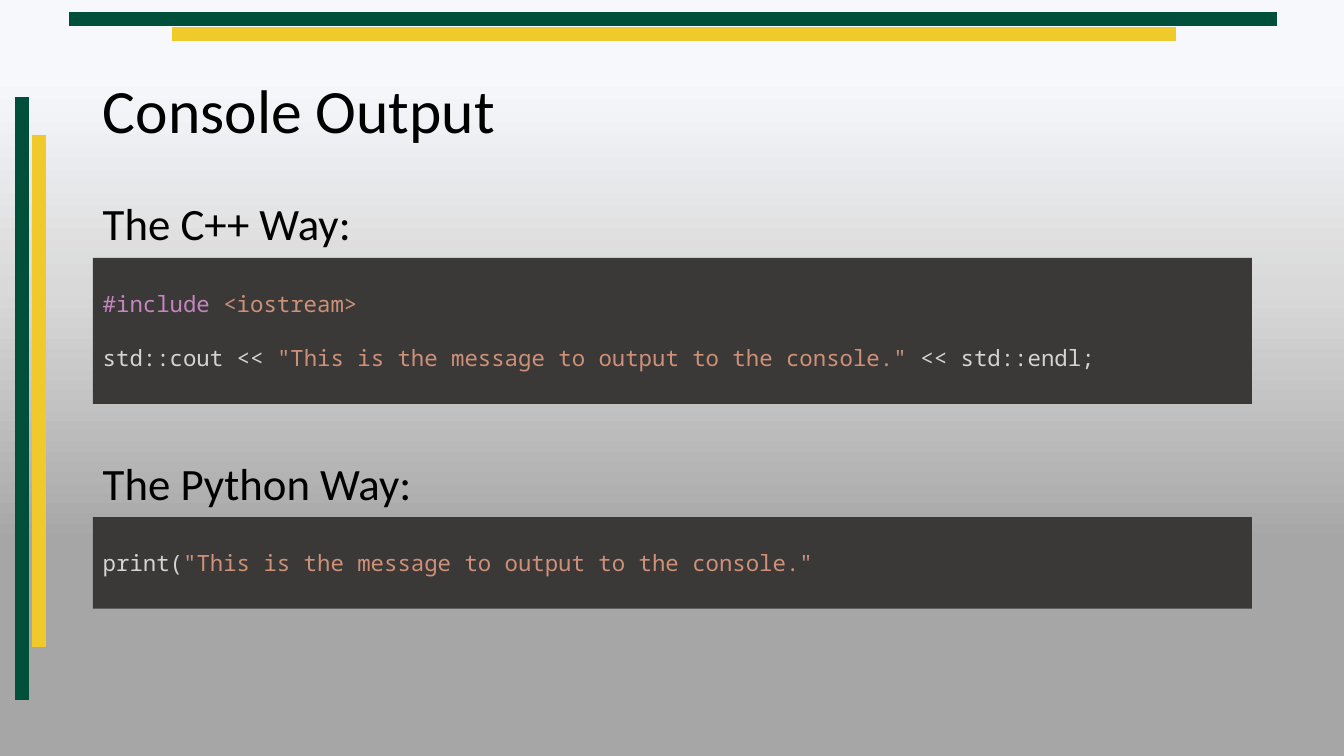
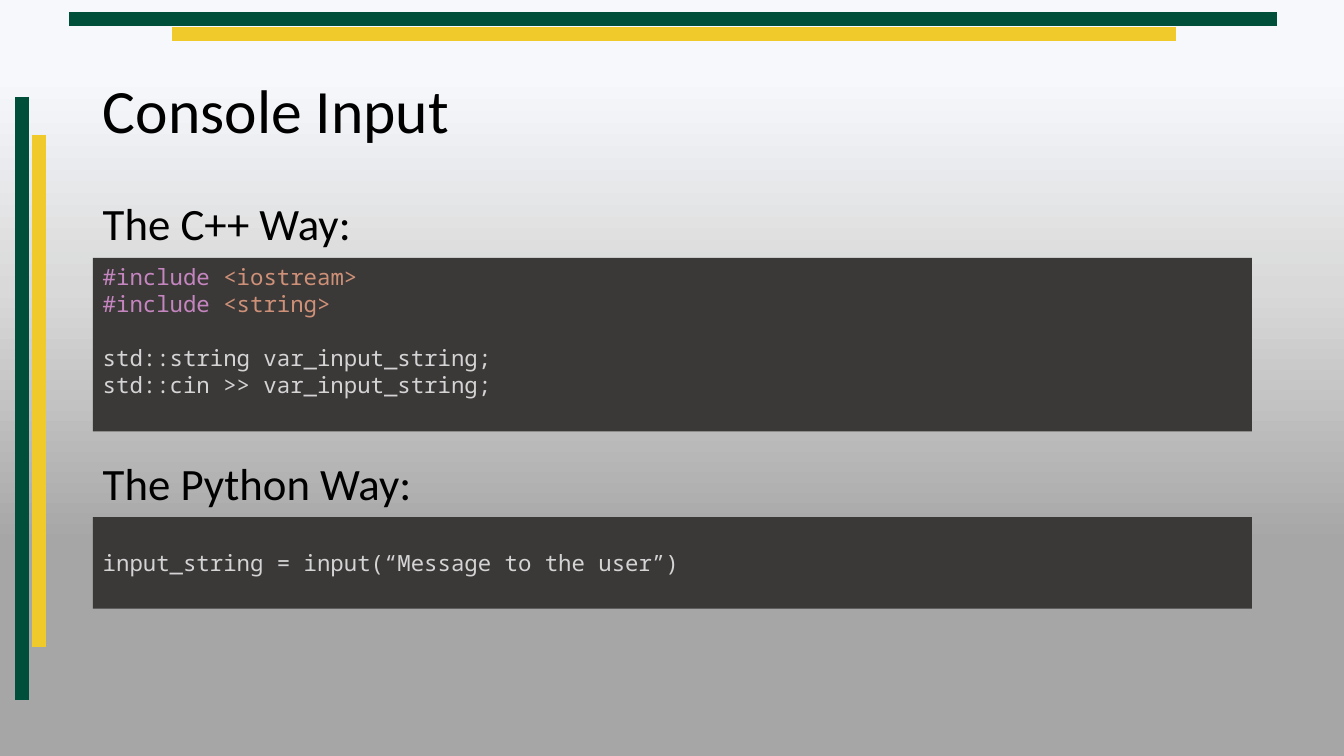
import dataclasses

import lxml.etree
import pptx
import pptx.dml.color
import pptx.enum.shapes
import pptx.enum.text
import pptx.oxml.ns
import pptx.util

Cm = pptx.util.Cm
Pt = pptx.util.Pt
qn = pptx.oxml.ns.qn


@dataclasses.dataclass(frozen=True)
class Theme:
    """Colours, fonts, type sizes and shared measures (cm)."""
    green: str = "004F3A"
    gold: str = "EFCA2A"
    text: str = "000000"
    panel: str = "3B3838"
    plain: str = "D4D4D4"
    keyword: str = "C586C0"
    string: str = "CE9178"
    backdrop: tuple = ((10, "F6F8FC"), (38, "D9D9D9"), (72, "A6A6A6"), (100, "A6A6A6"))
    body_font: str = "Calibri"
    code_font: str = "Noto Sans Mono"
    title_size: int = 44
    heading_size: int = 32
    code_size: int = 16
    code_line: float = 19.4
    band_width: int = 10
    left: float = 2.34
    width: float = 29.21
    heading_height: float = 1.42
    inset: float = 0.13
    lead_inset: float = 0.82


T = Theme()

# Each band: colour, start x, start y, end x, end y
BANDS = [
    (T.green, 1.75, 0.48, 32.18, 0.48),
    (T.green, 0.56, 2.44, 0.56, 17.65),
    (T.gold, 4.34, 0.86, 29.64, 0.86),
    (T.gold, 0.99, 3.4, 0.99, 16.31),
]

MESSAGE = '"This is the message to output to the console."'

# Each section: heading, top, panel height, whether code starts a line lower,
# and groups of code lines, each line a list of (text, colour) runs
SLIDES = [
    ("Console Output", [
        ("The C++ Way:", 5.08, 3.68, True, [
            [[("#include ", T.keyword), ("<iostream>", T.string)]],
            [[("std::cout << ", T.plain), (MESSAGE, T.string),
              (" << std::endl;", T.plain)]],
        ]),
        ("The Python Way:", 11.61, 2.31, True, [
            [[("print(", T.plain), (MESSAGE, T.string)]],
        ]),
    ]),
    ("Console Input", [
        ("The C++ Way:", 5.08, 4.37, False, [
            [[("#include ", T.keyword), ("<iostream>", T.string)],
             [("#include ", T.keyword), ("<string>", T.string)]],
            [[("std::string var_input_string;", T.plain)],
             [("std::cin >> var_input_string;", T.plain)]],
        ]),
        ("The Python Way:", 11.61, 2.31, True, [
            [[("input_string = input(\u201cMessage to the user\u201d)", T.plain)]],
        ]),
    ]),
]


def rgb(value):
    """Turn a hex string into a colour."""
    return pptx.dml.color.RGBColor.from_string(value)


def add_run(p, text, font, size, color):
    """Add one formatted run to a paragraph."""
    r = p.add_run()
    r.text = text
    r.font.name = font
    r.font.size = Pt(size)
    r.font.color.rgb = rgb(color)


def prepare_frame(tf, anchor):
    """Wrap the text at a fixed frame size with the given anchor."""
    tf.word_wrap = True
    tf.auto_size = pptx.enum.text.MSO_AUTO_SIZE.NONE
    tf.vertical_anchor = anchor


def set_backdrop(master):
    """Give the master a top-to-bottom gradient."""
    fill = master.background.fill
    fill.gradient()
    fill.gradient_angle = 270
    stops = master.element.find(".//" + qn("a:gsLst"))
    for stop in list(stops):
        stops.remove(stop)
    for position, color in T.backdrop:
        stop = lxml.etree.SubElement(stops, qn("a:gs"), pos=str(position * 1000))
        lxml.etree.SubElement(stop, qn("a:srgbClr"), val=color)


def add_bands(s, master):
    """Draw the bands and place them on the master, so all slides share them."""
    for number, (color, *ends) in enumerate(BANDS, start=101):
        band = s.shapes.add_connector(
            pptx.enum.shapes.MSO_CONNECTOR.STRAIGHT, *[Cm(v) for v in ends])
        band.line.color.rgb = rgb(color)
        band.line.width = Pt(T.band_width)
        lxml.etree.SubElement(band.element.spPr, qn("a:effectLst"))
        band.element.find(".//" + qn("p:cNvPr")).set("id", str(number))
        master.shapes.element.append(band.element)


def add_title(s, text):
    """Place and format the title placeholder."""
    title = s.shapes.title
    title.left, title.top = Cm(T.left), Cm(1.02)
    title.width, title.height = Cm(T.width), Cm(3.68)
    tf = title.text_frame
    prepare_frame(tf, pptx.enum.text.MSO_ANCHOR.MIDDLE)
    p = tf.paragraphs[0]
    p.alignment = pptx.enum.text.PP_ALIGN.LEFT
    p.line_spacing = 0.9
    add_run(p, text, T.body_font, T.title_size, T.text)


def add_heading(s, text, top):
    """Add the heading above a code panel."""
    sp = s.shapes.add_textbox(Cm(T.left), Cm(top), Cm(T.width), Cm(T.heading_height))
    tf = sp.text_frame
    prepare_frame(tf, pptx.enum.text.MSO_ANCHOR.TOP)
    p = tf.paragraphs[0]
    p.line_spacing = 0.8
    p.space_before = Pt(10)
    add_run(p, text, T.body_font, T.heading_size, T.text)


def add_code(s, top, height, lead, groups):
    """Add a dark panel of coloured code, one line of space between groups."""
    sp = s.shapes.add_shape(pptx.enum.shapes.MSO_SHAPE.RECTANGLE,
                            Cm(T.left), Cm(top), Cm(T.width), Cm(height))
    sp.shadow.inherit = False
    sp.fill.solid()
    sp.fill.fore_color.rgb = rgb(T.panel)
    sp.line.fill.background()
    tf = sp.text_frame
    prepare_frame(tf, pptx.enum.text.MSO_ANCHOR.TOP)
    tf.margin_top = Cm(T.lead_inset if lead else T.inset)
    p = None
    for group in groups:
        for index, line in enumerate(group):
            starts_group = p is not None and index == 0
            p = tf.paragraphs[0] if p is None else tf.add_paragraph()
            p.alignment = pptx.enum.text.PP_ALIGN.LEFT
            if starts_group:
                p.space_before = Pt(T.code_line)
            for text, color in line:
                add_run(p, text, T.code_font, T.code_size, color)


def main():
    """Build the slides and save them."""
    prs = pptx.Presentation()
    prs.slide_width, prs.slide_height = Cm(33.87), Cm(19.05)
    set_backdrop(prs.slide_master)
    for number, (title, sections) in enumerate(SLIDES):
        s = prs.slides.add_slide(prs.slide_layouts[5])
        if number == 0:
            add_bands(s, prs.slide_master)
        add_title(s, title)
        for heading, top, height, lead, groups in sections:
            add_heading(s, heading, top)
            add_code(s, top + T.heading_height, height, lead, groups)
    prs.save("out.pptx")


main()
